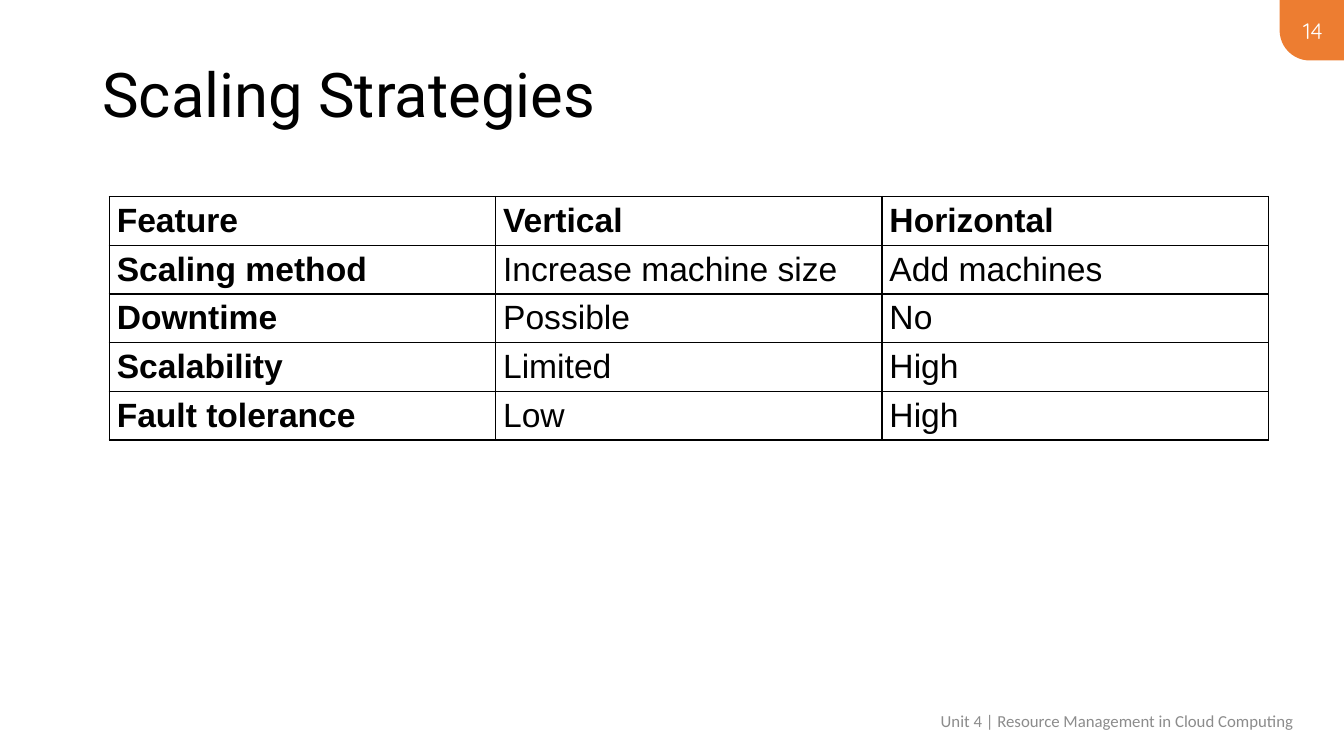
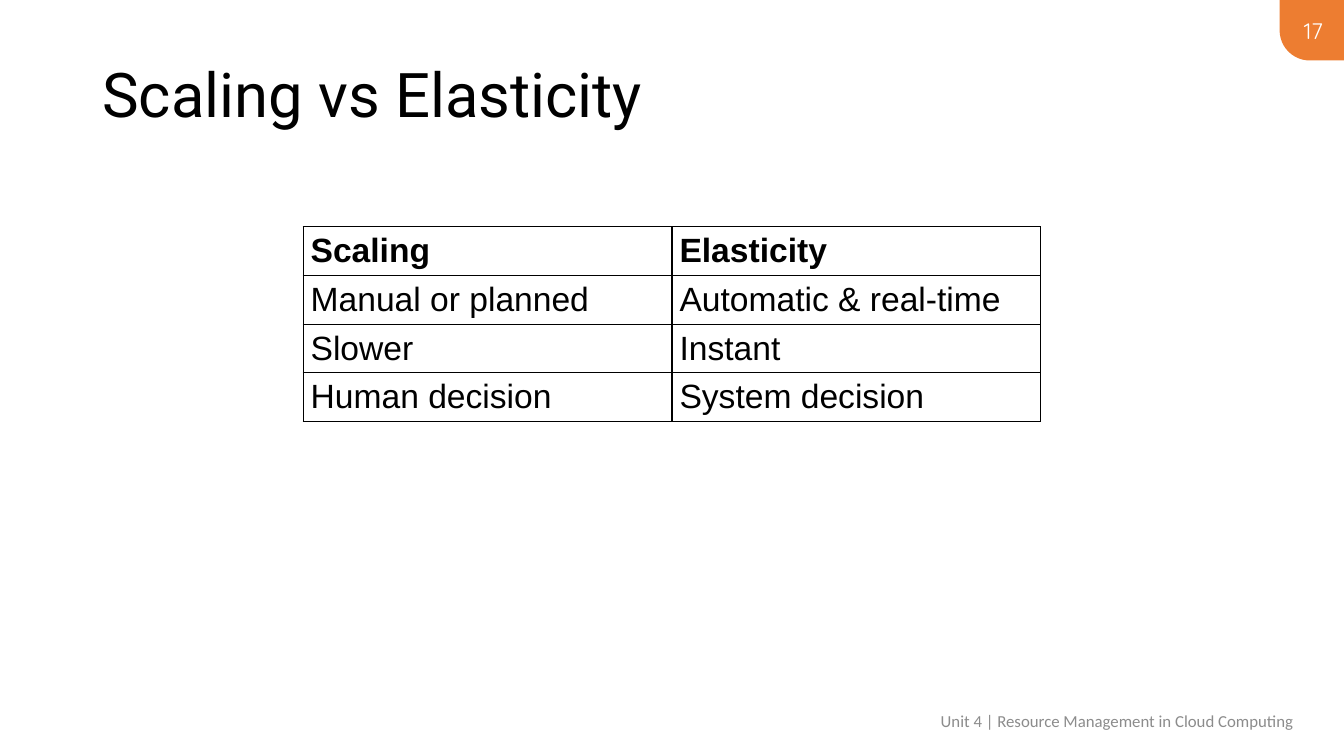
from pptx import Presentation
from pptx.dml.color import RGBColor
from pptx.enum.shapes import MSO_SHAPE as Shape
from pptx.enum.text import MSO_ANCHOR as Anchor, MSO_AUTO_SIZE as Fit, PP_ALIGN as Align
from pptx.oxml import parse_xml
from pptx.oxml.ns import nsdecls
from pptx.util import Pt

# Content: bold_col marks tables whose first column is also a heading
SLIDES = [
    dict(title="Scaling Strategies", num="14", at=(78, 140.4), col=276, bold_col=True, rows=[
        ("Feature", "Vertical", "Horizontal"),
        ("Scaling method", "Increase machine size", "Add machines"),
        ("Downtime", "Possible", "No"),
        ("Scalability", "Limited", "High"),
        ("Fault tolerance", "Low", "High"),
    ]),
    dict(title="Scaling vs Elasticity", num="17", at=(216.5, 162), col=263.5, bold_col=False, rows=[
        ("Scaling", "Elasticity"),
        ("Manual or planned", "Automatic & real-time"),
        ("Slower", "Instant"),
        ("Human decision", "System decision"),
    ]),
]
FOOTER = "Unit 4 | Resource Management in Cloud Computing"

# Shared style
WIDTH, HEIGHT = 960, 540
BLACK, WHITE, ORANGE, GREY = "000000", "FFFFFF", "ED7D31", "8C8C8C"
TAB_W, TAB_H = 46, 43.2
ROW_H = 33.9


def color(code):
    return RGBColor.from_string(code)


def style(para, face, size, code, align=Align.LEFT, bold=False):
    para.alignment = align
    font = para.font
    font.name, font.size, font.bold = face, Pt(size), bold
    font.color.rgb = color(code)


def place(shape, *box):
    shape.left, shape.top, shape.width, shape.height = map(Pt, box)


def add_text(slide, text, box, *look):
    frame = slide.shapes.add_textbox(*map(Pt, box)).text_frame
    frame.word_wrap = True
    frame.vertical_anchor = Anchor.MIDDLE
    frame.text = text
    style(frame.paragraphs[0], *look)


def add_border(cell):
    props = cell._tc.get_or_add_tcPr()
    for i, side in enumerate("LRTB"):
        props.insert(i, parse_xml(
            f'<a:ln{side} {nsdecls("a")} w="{Pt(1)}"><a:solidFill>'
            f'<a:srgbClr val="{BLACK}"/></a:solidFill></a:ln{side}>'))


def add_grid(slide, rows, at, col, bold_col):
    count = len(rows[0])
    size = (col * count, ROW_H * len(rows))
    table = slide.shapes.add_table(len(rows), count, *map(Pt, at + size)).table
    table.first_row = table.horz_banding = False
    for r, row in enumerate(rows):
        table.rows[r].height = Pt(ROW_H)
        for c, text in enumerate(row):
            cell = table.cell(r, c)
            cell.text = text
            cell.vertical_anchor = Anchor.MIDDLE
            cell.margin_left = cell.margin_right = Pt(5.4)
            cell.margin_top = cell.margin_bottom = Pt(3)
            cell.fill.background()
            add_border(cell)
            bold = r == 0 or (bold_col and c == 0)
            style(cell.text_frame.paragraphs[0], "Arial", 24, BLACK, bold=bold)


def add_frame(slide, title, num):
    # Corner tab with page number
    tab = slide.shapes.add_shape(
        Shape.ROUND_1_RECTANGLE, Pt(WIDTH - TAB_W), 0, Pt(TAB_W), Pt(TAB_H))
    tab.adjustments[0] = 0.5
    tab.rotation = 180
    tab.shadow.inherit = False
    tab.fill.solid()
    tab.fill.fore_color.rgb = color(ORANGE)
    tab.line.fill.background()
    add_text(slide, num, (906, 7.2, TAB_W, 28.8), "Quicksand", 16, WHITE, Align.RIGHT)

    # Title
    head = slide.shapes.title
    place(head, 66, 28.8, 828, 82)
    frame = head.text_frame
    frame.text = title
    frame.auto_size = Fit.NONE
    frame.vertical_anchor = Anchor.MIDDLE
    para = frame.paragraphs[0]
    para.line_spacing = 0.9
    style(para, "Roboto", 44, BLACK)

    # Footer
    add_text(slide, FOOTER, (636, 500.4, 324, 28.8), "Calibri", 12, GREY, Align.CENTER)


def main():
    deck = Presentation()
    deck.slide_width, deck.slide_height = Pt(WIDTH), Pt(HEIGHT)
    for data in SLIDES:
        slide = deck.slides.add_slide(deck.slide_layouts[5])
        add_frame(slide, data["title"], data["num"])
        add_grid(slide, data["rows"], data["at"], data["col"], data["bold_col"])
    deck.save("out.pptx")


if __name__ == "__main__":
    main()
